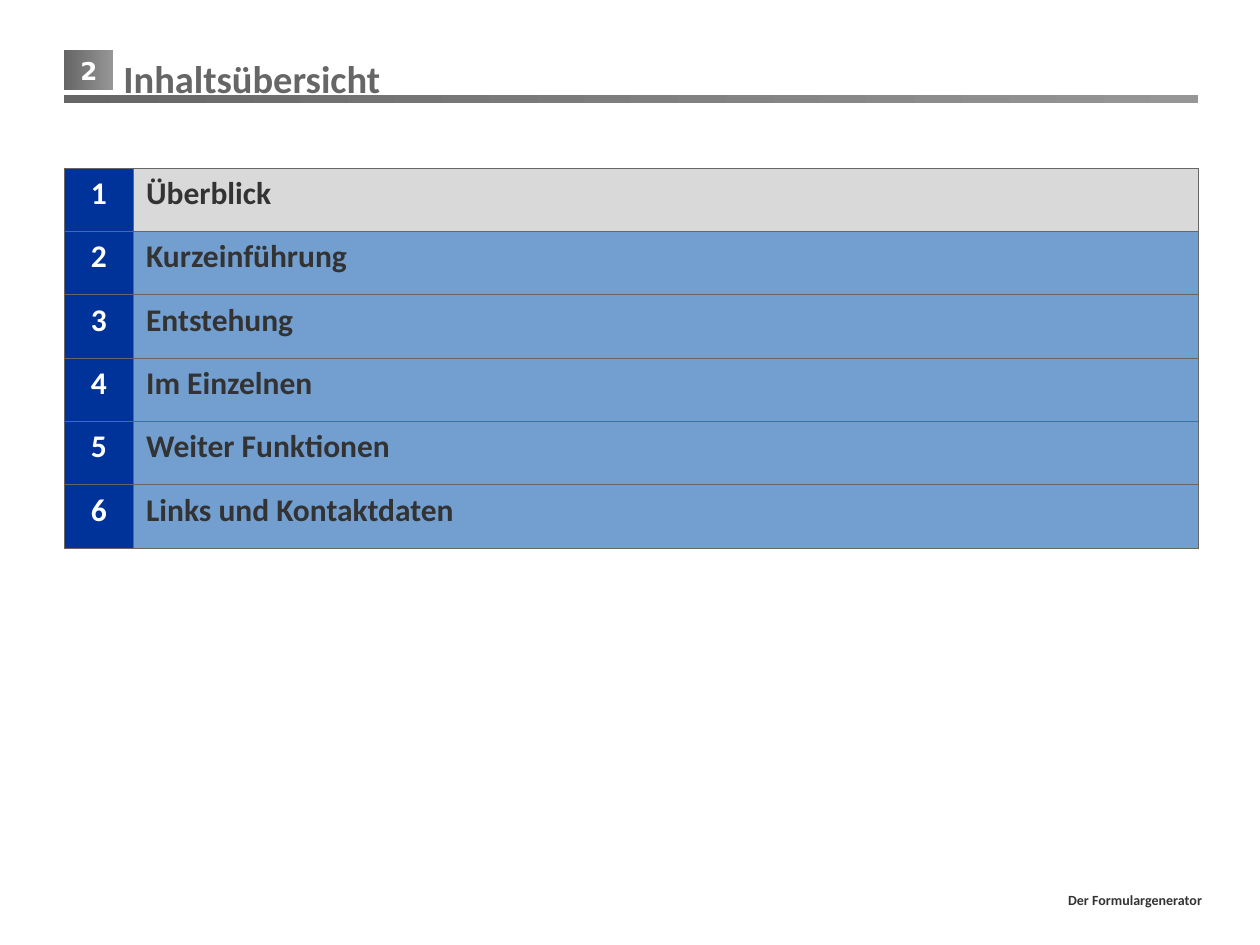
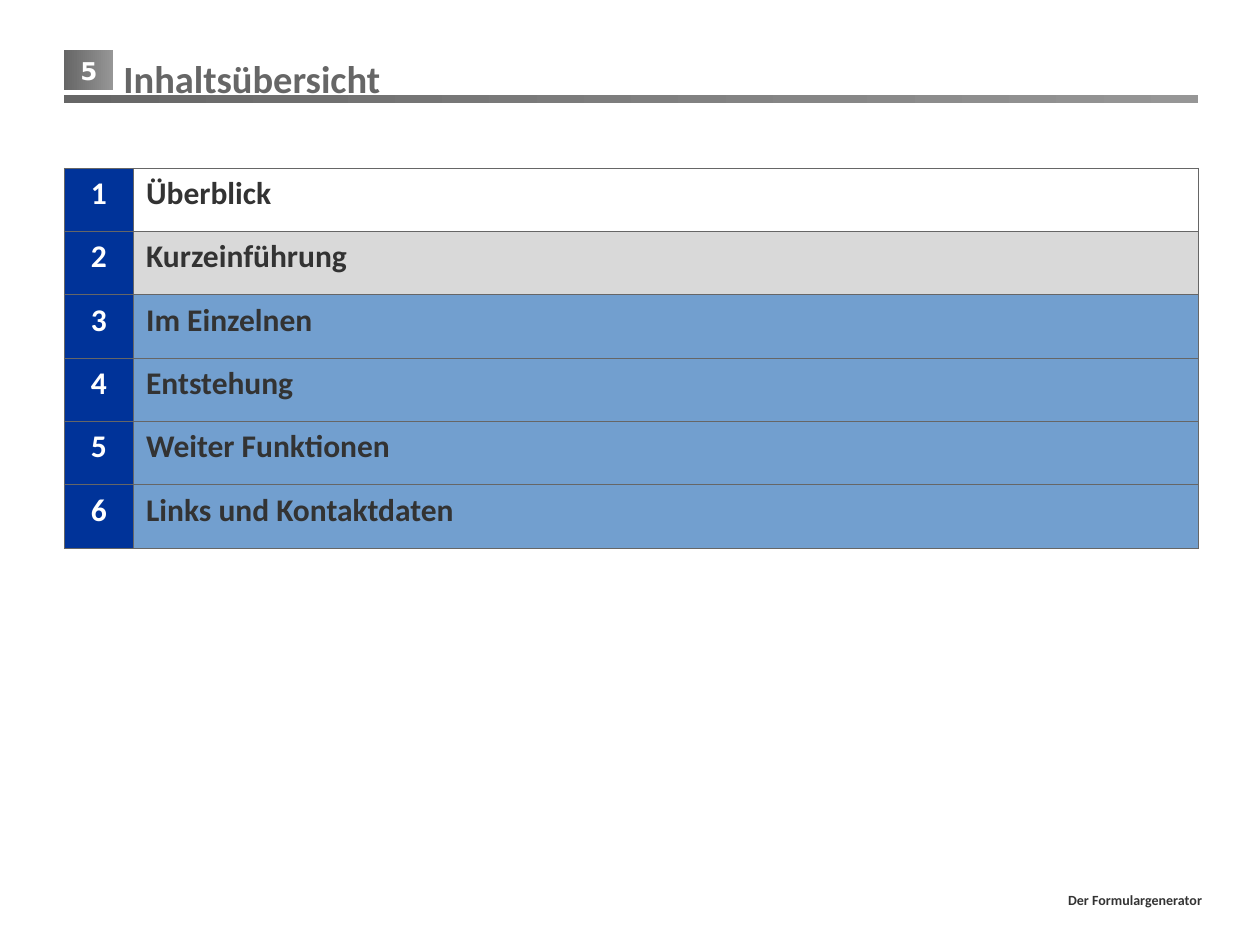
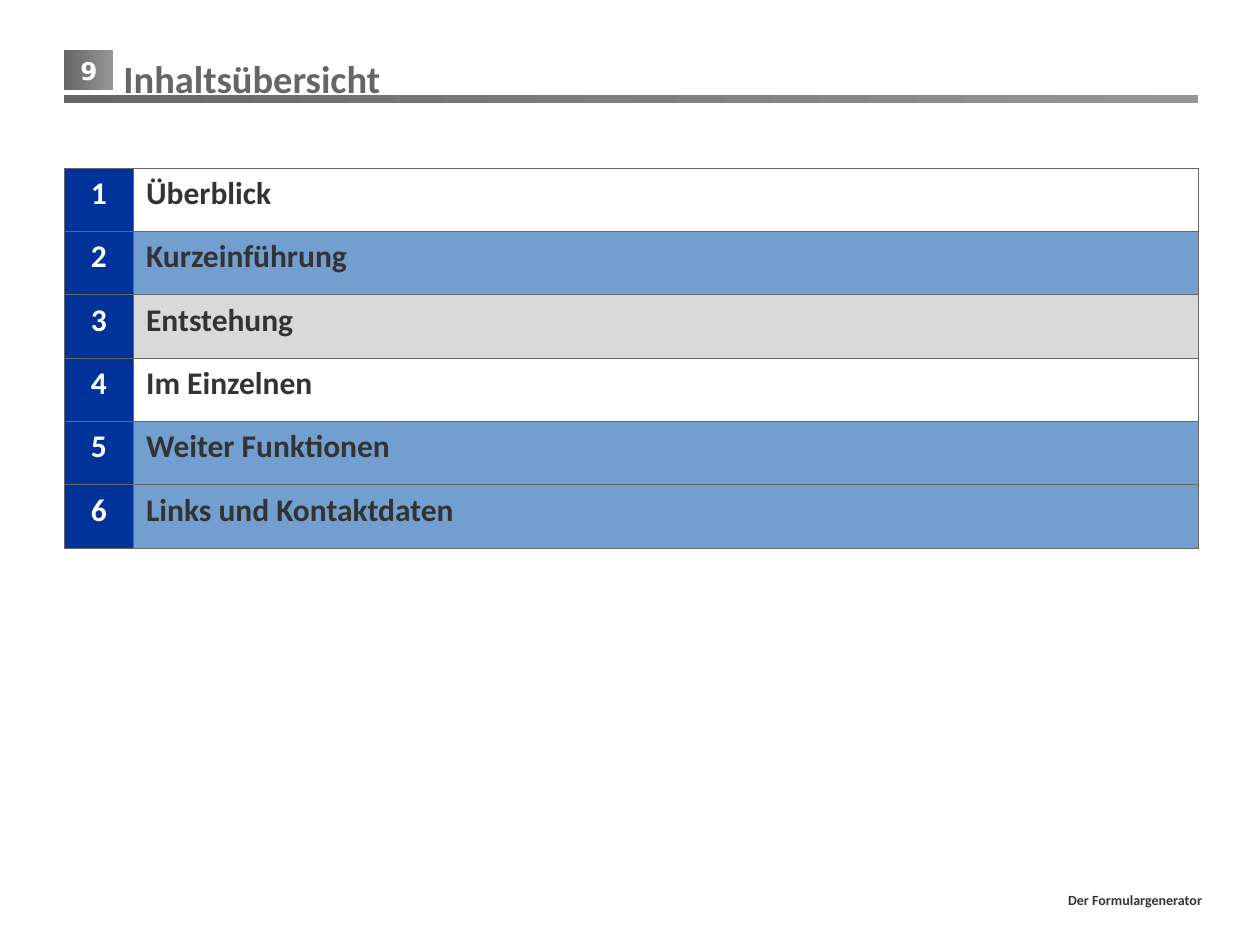
"""Build the three agenda slides of the form generator talk."""
from dataclasses import dataclass

from lxml.etree import SubElement as Sub
from pptx import Presentation as Deck
from pptx.dml.color import RGBColor as RGB
from pptx.enum.shapes import MSO_SHAPE as Shape
from pptx.enum.text import MSO_ANCHOR as Anchor, PP_ALIGN as Align
from pptx.oxml.ns import qn
from pptx.util import Inches, Pt


@dataclass(frozen=True)
class Theme:
    dark: str = "666666"
    mid: str = "969696"
    ink: str = "333333"
    white: str = "FFFFFF"
    navy: str = "003399"
    blue: str = "729FCF"
    now: str = "D9D9D9"
    font: str = "Calibri"
    digit: str = "DejaVu Sans"
    head: float = 22
    badge: float = 14
    body: float = 18
    foot: float = 8
    gap: float = 4
    rule: float = 0.5


class Page:
    """Hold the theme, the grid and the current slide."""

    cols, rows = 100, 75
    left, width = 5.1, 90

    def __init__(self, deck, theme):
        self.deck, self.theme = deck, theme

    def grid(self, x, y, w, h):
        """Turn grid columns and rows into slide lengths."""
        col = self.deck.slide_width / self.cols
        row = self.deck.slide_height / self.rows
        return [int(n * unit) for n, unit in zip((x, y, w, h), (col, row) * 2)]

    def label(self, frame, text, size, color, align=Align.LEFT, font=None):
        """Set one bold paragraph and return it."""
        frame.text = text
        frame.word_wrap = True
        par = frame.paragraphs[0]
        par.alignment = align
        for run in par.runs:
            run.font.name = font or self.theme.font
            run.font.size = Pt(size)
            run.font.bold = True
            run.font.color.rgb = RGB.from_string(color)
        return par

    def start(self, title, num, foot):
        """Add a slide with its title, badge, bar and footer."""
        look = self.theme
        self.slide = self.deck.slides.add_slide(self.deck.slide_layouts[5])
        self.title(title)
        badge = self.band(self.left, 4, 3.9, 3.15).text_frame
        badge.vertical_anchor = Anchor.MIDDLE
        badge.margin_left = badge.margin_right = 0
        self.label(badge, str(num), look.badge, look.white, Align.CENTER, look.digit)
        self.band(self.left, 7.55, self.width, 0.6)
        self.footer(foot)

    def title(self, text):
        """Place and format the title placeholder."""
        head = self.slide.shapes.title
        head.left, head.top, head.width, head.height = self.grid(8.8, 3.6, 86.7, 4.7)
        frame = head.text_frame
        frame.vertical_anchor = Anchor.BOTTOM
        frame.margin_bottom = Inches(0.03)
        self.label(frame, text, self.theme.head, self.theme.dark)

    def band(self, x, y, w, h):
        """Draw a grey rectangle that fades to the right."""
        box = self.slide.shapes.add_shape(Shape.RECTANGLE, *self.grid(x, y, w, h))
        box.shadow.inherit = False
        box.line.fill.background()
        box.fill.gradient()
        box.fill.gradient_angle = 0
        shades = (self.theme.dark, self.theme.mid)
        for pos, (stop, shade) in enumerate(zip(box.fill.gradient_stops, shades)):
            stop.position = pos
            stop.color.rgb = RGB.from_string(shade)
        return box

    def footer(self, text):
        """Put the footer at the lower right."""
        box = self.slide.shapes.add_textbox(*self.grid(11.5, 69.6, 84.9, 3.6))
        frame = box.text_frame
        frame.vertical_anchor = Anchor.MIDDLE
        self.label(frame, text, self.theme.foot, self.theme.ink, Align.RIGHT)

    def cell(self, cell, text, fill, color, align=Align.LEFT):
        """Fill, frame and label one table cell."""
        props = cell._tc.get_or_add_tcPr()
        for side in ("lnL", "lnR", "lnT", "lnB"):
            line = Sub(props, qn("a:" + side), w=str(Pt(self.theme.rule)))
            Sub(Sub(line, qn("a:solidFill")), qn("a:srgbClr"), val=self.theme.dark)
        cell.fill.solid()
        cell.fill.fore_color.rgb = RGB.from_string(fill)
        par = self.label(cell.text_frame, text, self.theme.body, color, align)
        par.space_before = Pt(self.theme.gap)

    def agenda(self, items, now, done):
        """Draw the numbered topics, marking the current and finished ones."""
        look = self.theme
        area = self.grid(self.left, 13.35, self.width, 30.15)
        table = self.slide.shapes.add_table(len(items), 2, *area).table
        table.first_row = table.horz_banding = False
        for col, wide in zip(table.columns, (5.5, 84.5)):
            col.width = self.grid(0, 0, wide, 0)[2]
        for num, (item, row) in enumerate(zip(items, table.rows), 1):
            fill = look.now if num == now else look.white if num in done else look.blue
            mark, topic = row.cells
            self.cell(mark, str(num), look.navy, look.white, Align.CENTER)
            self.cell(topic, item, fill, look.ink)


def main():
    """Build and save the deck."""
    deck = Deck()
    deck.slide_width, deck.slide_height = Inches(10), Inches(7.5)
    page = Page(deck, Theme())
    items = ["Überblick", "Kurzeinführung", "Entstehung", "Im Einzelnen",
             "Weiter Funktionen", "Links und Kontaktdaten"]
    swap = items[:2] + [items[3], items[2]] + items[4:]
    plan = [(2, items, 1, ()), (5, swap, 2, (1,)), (9, items, 3, (1, 4))]
    for num, topics, now, done in plan:
        page.start("Inhaltsübersicht", num, "Der Formulargenerator")
        page.agenda(topics, now, done)
    deck.save("out.pptx")


if __name__ == "__main__":
    main()
